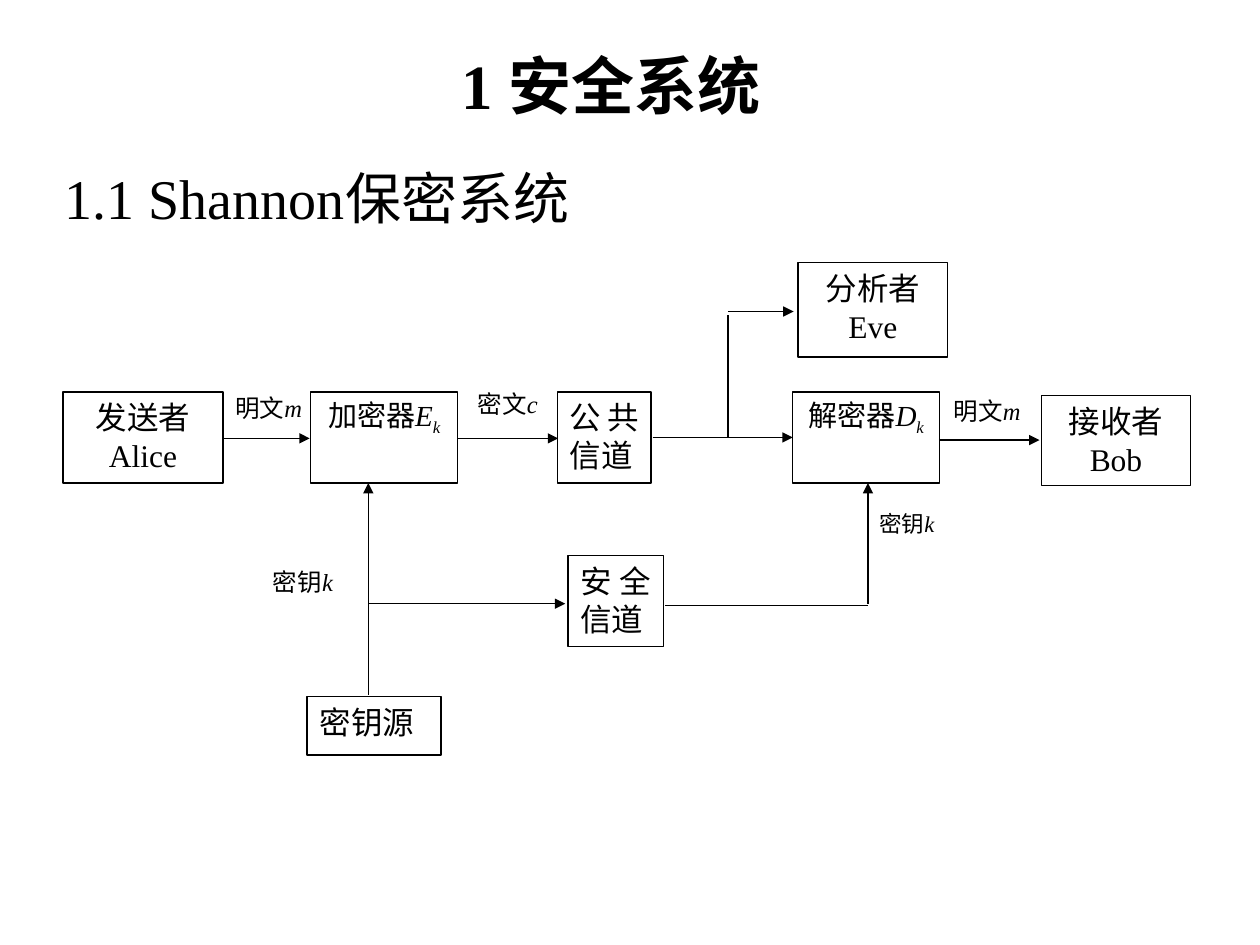
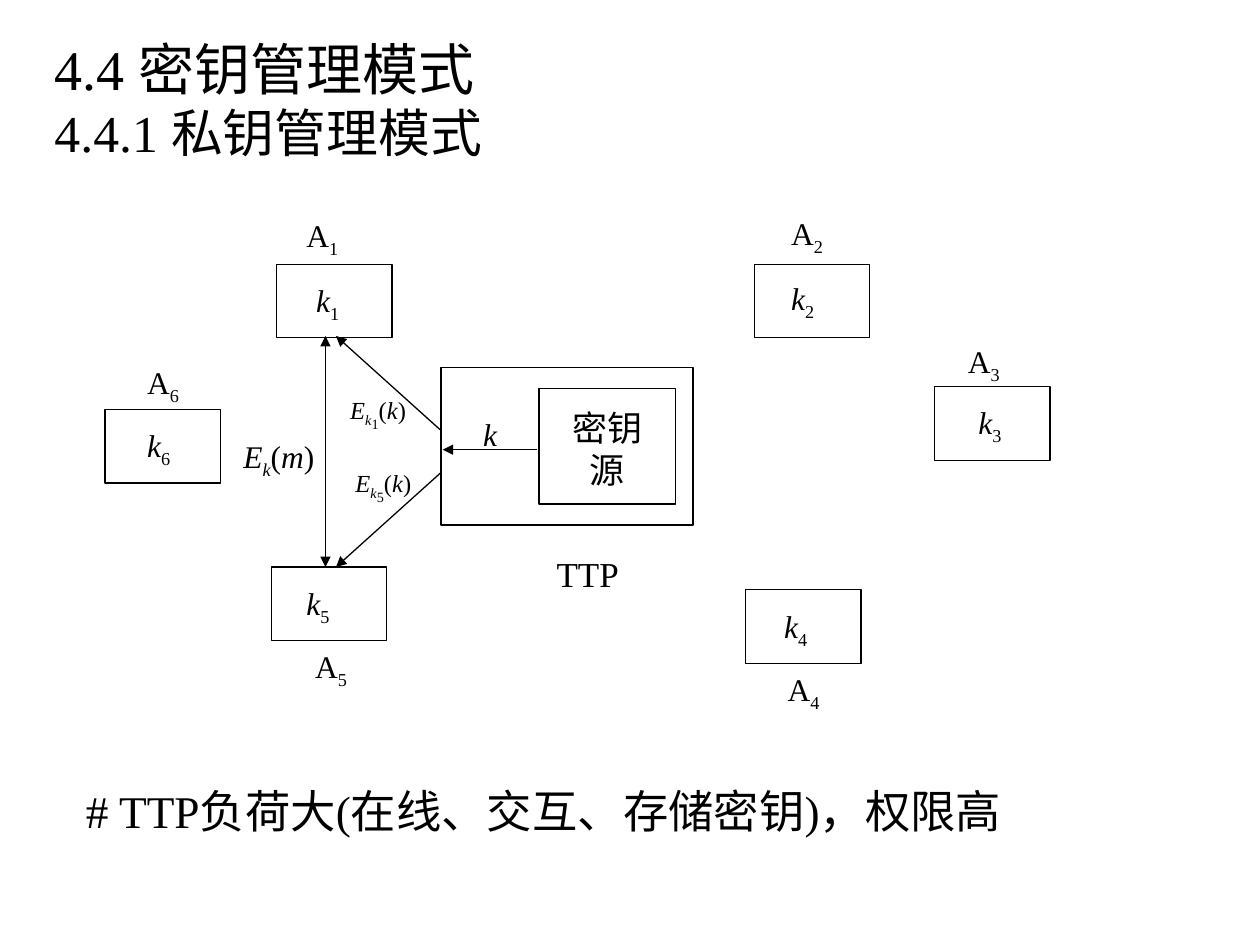
from dataclasses import dataclass

from lxml import etree
from pptx import Presentation
from pptx.dml.color import RGBColor
from pptx.enum.lang import MSO_LANGUAGE_ID
from pptx.enum.shapes import MSO_CONNECTOR, MSO_SHAPE
from pptx.enum.text import MSO_ANCHOR, MSO_AUTO_SIZE, PP_ALIGN
from pptx.oxml.ns import qn
from pptx.util import Pt

LEFT, CENTER, JUSTIFY = PP_ALIGN.LEFT, PP_ALIGN.CENTER, PP_ALIGN.JUSTIFY
TOP, MIDDLE = MSO_ANCHOR.TOP, MSO_ANCHOR.MIDDLE
NO_AUTOFIT = MSO_AUTO_SIZE.NONE
RECTANGLE = MSO_SHAPE.RECTANGLE
STRAIGHT = MSO_CONNECTOR.STRAIGHT
CHINESE = MSO_LANGUAGE_ID.SIMPLIFIED_CHINESE

FONT = "Times New Roman"
BLACK, WHITE = "000000", "FFFFFF"
LINE_WIDTH = 0.75
INSETS = (7.2, 3.6)
NO_INSETS = (0, 0)


@dataclass(frozen=True)
class Span:
    text: str
    italic: bool = False
    baseline: int = 0  # percent, negative for subscripts


@dataclass(frozen=True)
class Area:
    left: float
    top: float
    width: float
    height: float


@dataclass(frozen=True)
class Style:
    size: float = 18
    align: PP_ALIGN = LEFT
    spacing: float = 1
    bold: bool = False
    insets: tuple = INSETS
    anchor: MSO_ANCHOR = TOP


@dataclass(frozen=True)
class Block:
    area: Area
    paras: list
    style: Style


@dataclass(frozen=True)
class Arrow:
    start: tuple
    end: tuple
    head: bool = False
    tail: bool = True


@dataclass(frozen=True)
class Member:
    number: int
    box: tuple
    name: tuple
    key: tuple


def color(value: str) -> RGBColor:
    return RGBColor.from_string(value)


def plain(*lines: str) -> list:
    return [[Span(line)] for line in lines]


def variable(text: str, baseline: int = 0) -> Span:
    return Span(text, True, baseline)


def subscript(text: str, baseline: int = -25) -> Span:
    return Span(text, False, baseline)


def place(shape, area: Area) -> None:
    shape.left, shape.top = Pt(area.left), Pt(area.top)
    shape.width, shape.height = Pt(area.width), Pt(area.height)


def write(shape, paras: list, style: Style) -> None:
    frame = shape.text_frame
    frame.word_wrap = True
    frame.auto_size = NO_AUTOFIT
    frame.vertical_anchor = style.anchor
    frame.margin_left = frame.margin_right = Pt(style.insets[0])
    frame.margin_top = frame.margin_bottom = Pt(style.insets[1])
    for index, spans in enumerate(paras):
        para = frame.add_paragraph() if index else frame.paragraphs[0]
        para.alignment = style.align
        para.line_spacing = style.spacing
        for part in spans:
            span = para.add_run()
            span.text = part.text
            font = span.font
            font.name, font.size = FONT, Pt(style.size)
            font.bold, font.italic = style.bold, part.italic
            font.color.rgb = color(BLACK)
            font.language_id = CHINESE
            if part.baseline:
                span._r.get_or_add_rPr().set("baseline", str(part.baseline * 1000))


def add_title(page, text: str, area: Area, style: Style) -> None:
    place(page.shapes.title, area)
    write(page.shapes.title, plain(text), style)


def add_label(page, block: Block) -> None:
    area = block.area
    label = page.shapes.add_textbox(Pt(area.left), Pt(area.top), Pt(area.width), Pt(area.height))
    write(label, block.paras, block.style)


def add_box(page, area: Area, fill: str = ""):
    box = page.shapes.add_shape(
        RECTANGLE, Pt(area.left), Pt(area.top), Pt(area.width), Pt(area.height))
    box.shadow.inherit = False
    if fill:
        box.fill.solid()
        box.fill.fore_color.rgb = color(fill)
    else:
        box.fill.background()
    box.line.color.rgb = color(BLACK)
    box.line.width = Pt(LINE_WIDTH)
    return box


def add_arrow(page, arrow: Arrow) -> None:
    line = page.shapes.add_connector(STRAIGHT, *(Pt(value) for value in arrow.start + arrow.end))
    line.line.color.rgb = color(BLACK)
    line.line.width = Pt(LINE_WIDTH)
    outline = line.line._get_or_add_ln()
    for tag, shown in (("a:headEnd", arrow.head), ("a:tailEnd", arrow.tail)):
        if shown:
            etree.SubElement(outline, qn(tag), type="triangle")
    etree.SubElement(line._element.spPr, qn("a:effectLst"))


# Text styles
TITLE = Style(36, CENTER, bold=True, anchor=MIDDLE)
SECTION = Style(32, anchor=MIDDLE)
HEADING = Style(32)
SUBHEADING = Style(29.6, spacing=0.7)
REMARK = Style(25.9, spacing=0.8)
PARTY = Style(18, CENTER)
CHANNEL = Style(18, JUSTIFY)
CIPHER = Style(16.6, CENTER, 0.9)
FLOW = Style(14, JUSTIFY, insets=NO_INSETS)
SMALL_FLOW = Style(12.9, JUSTIFY, 0.9, insets=NO_INSETS)
SYMBOL = Style(18)
SMALL_SYMBOL = Style(14)
TTP_NAME = Style(20)
SOURCE = Style(20, CENTER)

# Secrecy system: boxes, flow labels and arrows
ROW_TOP = 224
SYSTEM_BOXES = [
    Block(Area(36, ROW_TOP, 91.5, 52), plain("发送者", "Alice"), PARTY),
    Block(Area(175.5, 398, 76.5, 33.5), plain("密钥源"), CHANNEL),
    Block(Area(456, 150, 85.5, 54), plain("分析者", "Eve"), PARTY),
    Block(Area(595, 226, 85.5, 51.5), plain("接收者", "Bob"), PARTY),
    Block(Area(324.5, 317.5, 54.5, 52), plain("安全信道"), CHANNEL),
    Block(Area(318.5, ROW_TOP, 53.5, 52), plain("公共信道"), CHANNEL),
    Block(Area(177.5, ROW_TOP, 84, 52),
          [[Span("加密器"), variable("E"), variable("k", -25)]], CIPHER),
    Block(Area(453, ROW_TOP, 84, 52),
          [[Span("解密器"), variable("D"), variable("k", -25)]], CIPHER),
]
FLOW_LABELS = [
    Block(Area(134.5, 224.5, 50.5, 21), [[Span("明文"), variable("m")]], FLOW),
    Block(Area(273, 222.5, 35, 35), [[Span("密文"), variable("c")]], FLOW),
    Block(Area(545, 226, 48, 24), [[Span("明文"), variable("m")]], FLOW),
    Block(Area(156, 324, 34.5, 34.5), [[Span("密钥"), variable("k")]], FLOW),
    Block(Area(502.5, 293, 37, 25), [[Span("密钥"), variable("k")]], SMALL_FLOW),
]
SYSTEM_ARROWS = [
    Arrow((127, 250.5), (177, 250.5)),
    Arrow((262, 250.5), (319, 250.5)),
    Arrow((373, 250), (453, 250)),
    Arrow((416, 250), (416, 180), tail=False),
    Arrow((416, 178), (453.5, 178)),
    Arrow((536.5, 251.5), (594, 251.5)),
    Arrow((210.5, 397), (210.5, 276)),
    Arrow((210.5, 345), (323, 345)),
    Arrow((380, 346), (496, 346), tail=False),
    Arrow((496, 345), (496, 276)),
]

# Key management: members around the trusted third party
MEMBER_SIZE = (66, 42)
SYMBOL_SIZE = (43, 31.5)
MEMBERS = [
    Member(1, (158, 151), (168, 120), (173.5, 157)),
    Member(2, (431, 151), (445, 119), (445, 156)),
    Member(3, (534, 221), (546, 192), (552, 227)),
    Member(4, (426, 337), (443, 379.5), (441, 343.5)),
    Member(5, (155, 324), (173, 366), (168, 330)),
    Member(6, (60, 234), (77, 204), (77, 240)),
]
TTP_BOX = Area(252, 210, 144, 90)
SOURCE_BOX = Area(308, 222, 78, 66)


def encrypted_key(number: int) -> list:
    return [[variable("E"), variable("k", -25), subscript(str(number), -40),
             Span("("), variable("k"), Span(")")]]


KEY_LABELS = [
    Block(Area(311, 312, 61, 31.5), plain("TTP"), TTP_NAME),
    Block(Area(269, 233.5, 18, 29), [[variable("k")]], SYMBOL),
    Block(Area(308, 228.5, 78, 55), plain("密钥", "源"), SOURCE),
    Block(Area(193, 222, 48, 29), encrypted_key(1), SMALL_SYMBOL),
    Block(Area(196, 264, 48, 29), encrypted_key(5), SMALL_SYMBOL),
    Block(Area(132, 246, 72, 31.5),
          [[variable("E"), variable("k", -25), Span("("), variable("m"), Span(")")]], SYMBOL),
]
KEY_ARROWS = [
    Arrow((307, 257), (253, 257)),
    Arrow((252, 246), (192, 192)),
    Arrow((252, 270), (192, 324)),
    Arrow((186, 192), (186, 324), head=True),
]


def build_secrecy_system(page) -> None:
    add_title(page, "1 安全系统", Area(151, 18, 396, 60), TITLE)
    add_label(page, Block(Area(30, 90, 324, 48), plain("1.1 Shannon保密系统"), HEADING))
    for block in SYSTEM_BOXES:
        write(add_box(page, block.area, WHITE), block.paras, block.style)
    for label in FLOW_LABELS:
        add_label(page, label)
    for arrow in SYSTEM_ARROWS:
        add_arrow(page, arrow)


def build_key_management(page) -> None:
    add_title(page, "4.4 密钥管理模式", Area(24, 12, 300, 54), SECTION)
    add_label(page, Block(Area(24, 64, 312, 36), plain("4.4.1 私钥管理模式"), SUBHEADING))
    add_label(page, Block(Area(42, 450, 594, 36),
                          plain("# TTP负荷大(在线、交互、存储密钥)，权限高"), REMARK))
    for member in MEMBERS:
        add_box(page, Area(*member.box, *MEMBER_SIZE))
        number = subscript(str(member.number))
        for corner, letter in ((member.name, Span("A")), (member.key, variable("k"))):
            add_label(page, Block(Area(*corner, *SYMBOL_SIZE), [[letter, number]], SYMBOL))
    for area in (TTP_BOX, SOURCE_BOX):
        add_box(page, area)
    for arrow in KEY_ARROWS:
        add_arrow(page, arrow)
    for label in KEY_LABELS:
        add_label(page, label)


def main() -> None:
    deck = Presentation()
    deck.slide_width, deck.slide_height = Pt(720), Pt(540)
    title_only = deck.slide_layouts[5]
    for build in (build_secrecy_system, build_key_management):
        build(deck.slides.add_slide(title_only))
    deck.save("out.pptx")


if __name__ == "__main__":
    main()
